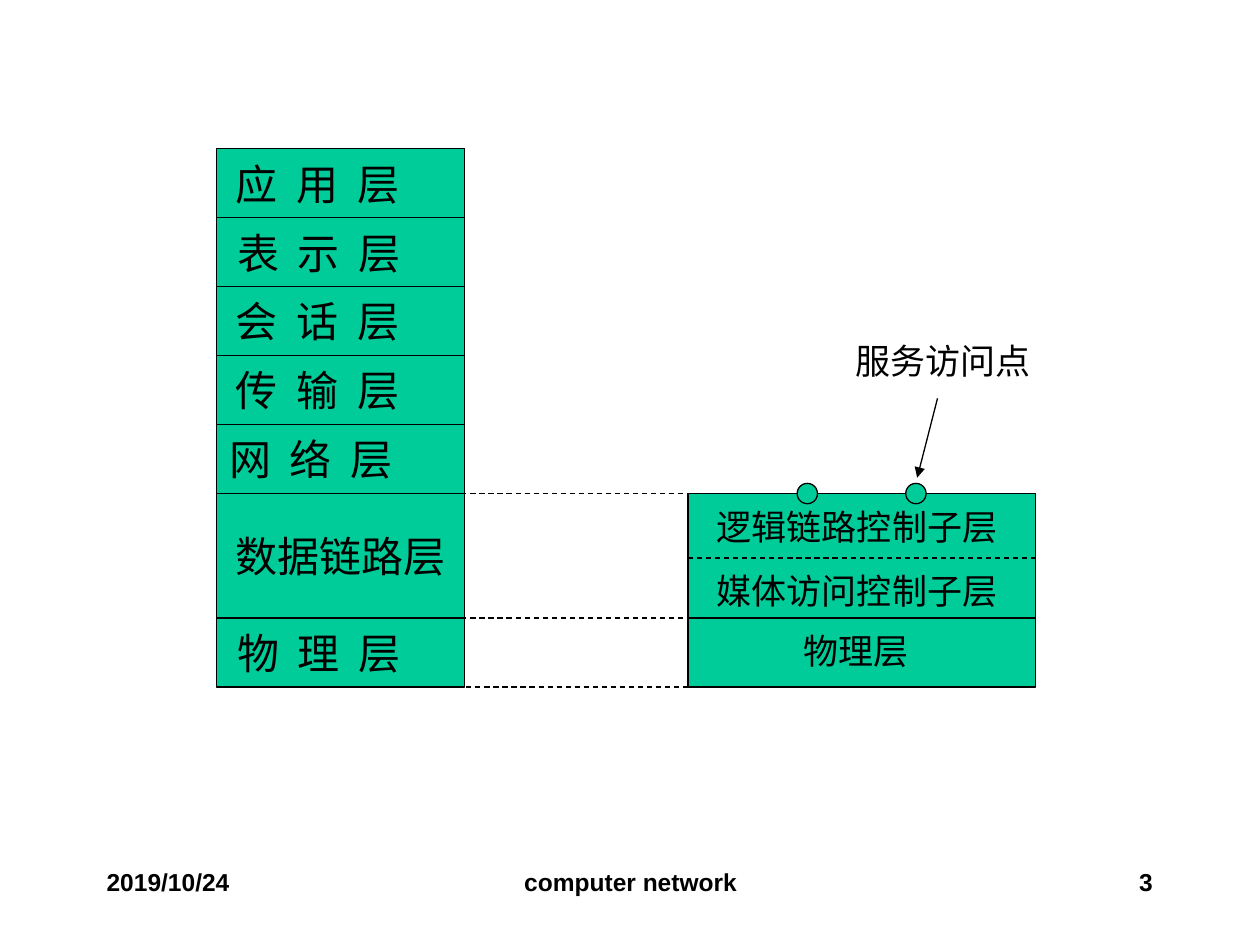
from dataclasses import dataclass

from lxml.etree import SubElement
from pptx import Presentation
from pptx.dml.color import RGBColor
from pptx.enum.dml import MSO_LINE
from pptx.enum.shapes import MSO_CONNECTOR, MSO_SHAPE
from pptx.enum.text import MSO_ANCHOR, PP_ALIGN
from pptx.oxml.ns import qn
from pptx.util import Cm, Pt


@dataclass(frozen=True)
class Theme:
    ink: RGBColor = RGBColor(0x00, 0x00, 0x00)
    layer: RGBColor = RGBColor(0x00, 0xCC, 0x99)
    latin: str = "Arial"
    chinese: str = "Noto Sans CJK SC"
    layer_size: int = 24
    sublayer_size: int = 20
    footer_size: int = 14
    rule: float = 0.75


def write(frame, text, *, font, size, color, bold=False,
          align=PP_ALIGN.LEFT, anchor=MSO_ANCHOR.MIDDLE, spacing=0):
    frame.word_wrap = True
    frame.vertical_anchor = anchor
    paragraph = frame.paragraphs[0]
    paragraph.alignment = align
    run = paragraph.add_run()
    run.text = text
    run.font.name = font
    run.font.size = Pt(size)
    run.font.bold = bold
    run.font.color.rgb = color
    properties = run.font._element
    if spacing:
        properties.set("spc", str(round(spacing * 100)))
    SubElement(properties, qn("a:ea")).set("typeface", font)


class Diagram:
    def __init__(self, slide, theme):
        self.slide = slide
        self.theme = theme

    def shape(self, kind, left, top, width, height):
        shape = self.slide.shapes.add_shape(
            kind, Cm(left), Cm(top), Cm(width), Cm(height))
        shape.shadow.inherit = False
        shape.fill.solid()
        shape.fill.fore_color.rgb = self.theme.layer
        shape.line.color.rgb = self.theme.ink
        shape.line.width = Pt(self.theme.rule)

    def label(self, text, left, top, width, height, size, **style):
        box = self.slide.shapes.add_textbox(
            Cm(left), Cm(top), Cm(width), Cm(height))
        style = {"font": self.theme.chinese, "color": self.theme.ink} | style
        write(box.text_frame, text, size=size, **style)

    def line(self, start, end, dashed=False, arrow=False):
        connector = self.slide.shapes.add_connector(
            MSO_CONNECTOR.STRAIGHT, *map(Cm, start + end))
        connector.line.color.rgb = self.theme.ink
        connector.line.width = Pt(self.theme.rule)
        if dashed:
            connector.line.dash_style = MSO_LINE.DASH
        if arrow:
            SubElement(connector.line._get_or_add_ln(),
                       qn("a:tailEnd")).set("type", "triangle")
        SubElement(connector._element.spPr, qn("a:effectLst"))

    def footer(self, text, left, width, align):
        self.label(text, left, 17.35, width, 1.27, self.theme.footer_size,
                   font=self.theme.latin, bold=True, align=align,
                   anchor=MSO_ANCHOR.TOP)


def main():
    """Build the slide that maps the OSI layers to the LAN sublayers."""
    deck = Presentation()
    deck.slide_width, deck.slide_height = Cm(25.4), Cm(19.05)
    theme = Theme()
    diagram = Diagram(deck.slides.add_slide(deck.slide_layouts[6]), theme)

    diagram.footer("2019/10/24", 1.9, 5.28, PP_ALIGN.LEFT)
    diagram.footer("computer network", 8.69, 8.05, PP_ALIGN.CENTER)
    diagram.footer("3", 18.21, 5.28, PP_ALIGN.RIGHT)

    osi_left, osi_width, row, link_height = 4.37, 5.0, 1.39, 2.51
    osi_layers = [
        ("应 用 层", row, 0.13),
        ("表 示 层", row, 0.16),
        ("会 话 层", row, 0.13),
        ("传 输 层", row, 0.13),
        ("网 络 层", row, 0),
        ("数据链路层", link_height, 0.13),
        ("物 理 层", row, 0.16),
    ]
    top, label_height = 3.0, 1.27
    for name, height, indent in osi_layers:
        diagram.shape(MSO_SHAPE.RECTANGLE, osi_left, top, osi_width, height)
        diagram.label(name, osi_left + indent,
                      top + (height - label_height) / 2, 4.8, label_height,
                      theme.layer_size, spacing=2.7 if " " in name else 0)
        top += height

    lan_left, lan_width = 13.87, 7.01
    lan_right = lan_left + lan_width
    physical_top = top - row
    link_top = physical_top - link_height
    diagram.shape(MSO_SHAPE.RECTANGLE, lan_left, physical_top, lan_width, row)
    diagram.shape(MSO_SHAPE.RECTANGLE, lan_left, link_top, lan_width, link_height)
    diagram.line((lan_left, 11.25), (lan_right, 11.25), dashed=True)
    for name, left, label_top, width in [
        ("逻辑链路控制子层", 14.2, 10.06, 6.6),
        ("媒体访问控制子层", 14.2, 11.35, 6.6),
        ("物理层", 15.95, 12.57, 2.7),
        ("服务访问点", 17.0, 6.73, 4.1),
    ]:
        diagram.label(name, left, label_top, width, 1.09, theme.sublayer_size)

    access_point = 0.41
    for left in (16.07, 18.26):
        diagram.shape(MSO_SHAPE.OVAL, left, link_top - access_point / 2,
                      access_point, access_point)
    diagram.line((18.9, 8.03), (18.49, 9.63), arrow=True)

    for start, level in [(9.3, link_top), (9.3, physical_top), (9.4, top)]:
        diagram.line((start, level), (start + 4.6, level), dashed=True)

    deck.save("out.pptx")


if __name__ == "__main__":
    main()
